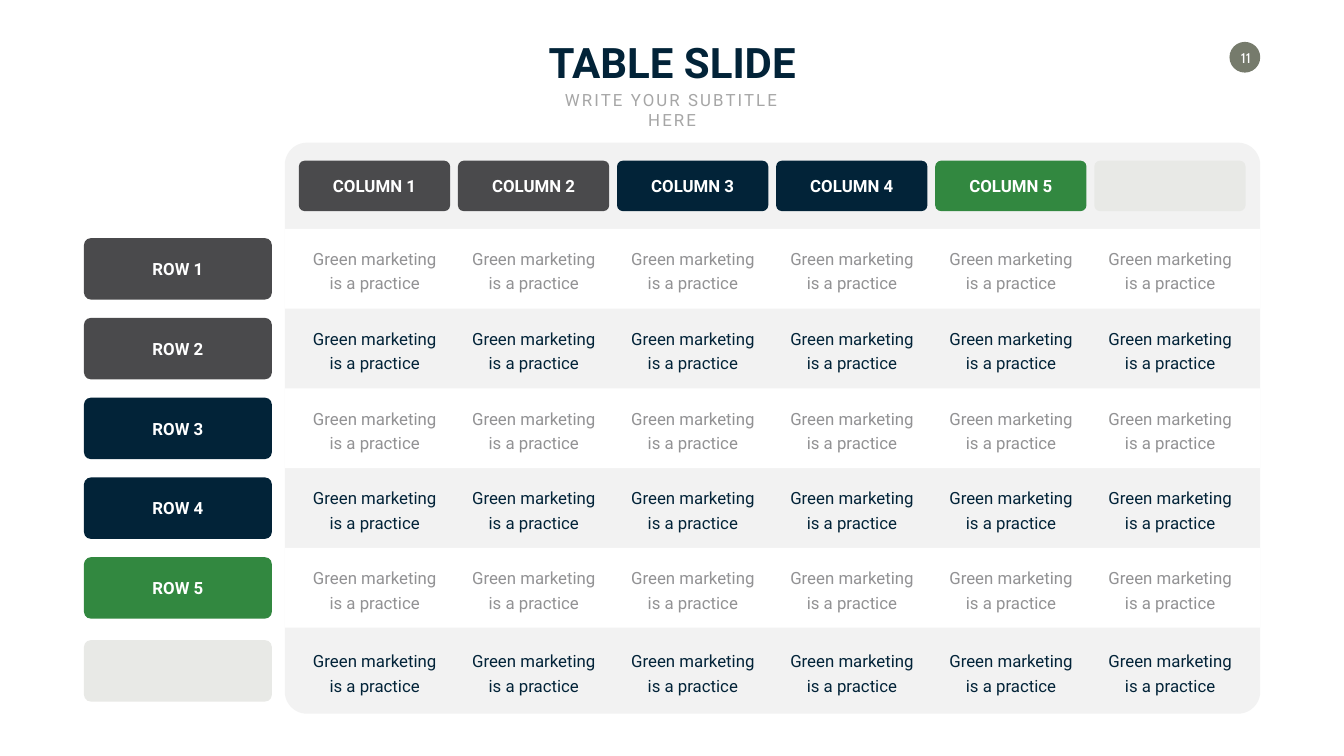
from dataclasses import dataclass

from lxml import etree
from pptx import Presentation
from pptx import util as u
from pptx.dml.color import RGBColor
from pptx.enum import shapes, text
from pptx.oxml import ns

NAVY = RGBColor(0x02, 0x23, 0x38)
GREEN = RGBColor(0x32, 0x88, 0x40)
COAL = RGBColor(0x4A, 0x4A, 0x4C)
PALE = RGBColor(0xE8, 0xE9, 0xE6)
PANEL = RGBColor(0xF2, 0xF2, 0xF2)
WHITE = RGBColor(0xFF, 0xFF, 0xFF)
GREY = RGBColor(0x92, 0x92, 0x94)
SILVER = RGBColor(0xA6, 0xA6, 0xA6)
OLIVE = RGBColor(0x76, 0x7B, 0x6C)

FILLS = (COAL, COAL, NAVY, NAVY, GREEN, PALE)
ROUND = shapes.MSO_SHAPE.ROUNDED_RECTANGLE

# Grid, in centimetres
COL_LEFT, COL_LAST = 15.06, 55.14
COL_STEP = (COL_LAST - COL_LEFT) / 5
ROW_TOP, ROW_STEP, LAST_DROP = 12.0, 4.02, 0.16
PANEL_LEFT, PANEL_WIDTH = 14.35, 49.15


@dataclass
class Box:
    left: float
    top: float
    width: float
    height: float

    def lengths(self) -> tuple:
        return tuple(u.Cm(n) for n in (self.left, self.top, self.width, self.height))


@dataclass
class Style:
    size: int
    color: RGBColor
    bold: bool = False
    face: str = "Roboto"


LABEL = Style(24, WHITE, bold=True)


def write(frame, words: str, style: Style):
    """Add one centred run and return its paragraph."""
    par = frame.paragraphs[0]
    par.alignment = text.PP_ALIGN.CENTER
    run = par.add_run()
    run.text = words
    run.font.name = style.face
    run.font.size = u.Pt(style.size)
    run.font.bold = style.bold
    run.font.color.rgb = style.color
    return par


def add_block(slide, kind, box: Box, fill: RGBColor, curve: float = 0):
    block = slide.shapes.add_shape(kind, *box.lengths())
    block.shadow.inherit = False
    block.fill.solid()
    block.fill.fore_color.rgb = fill
    block.line.fill.background()
    if curve:
        block.adjustments[0] = curve
    return block


def add_label(slide, box: Box, fill: RGBColor, words: str) -> None:
    block = add_block(slide, ROUND, box, fill, 0.114)
    # White words would vanish on the pale block, so it stays plain
    if fill != PALE:
        block.text_frame.word_wrap = False
        write(block.text_frame, words, LABEL)


def add_cell(slide, box: Box, words: str, color: RGBColor) -> None:
    frame = slide.shapes.add_textbox(*box.lengths()).text_frame
    frame.word_wrap = True
    frame.vertical_anchor = text.MSO_ANCHOR.MIDDLE
    par = write(frame, words, Style(24, color))
    par.line_spacing = u.Pt(35)


def fill_holder(holder, box: Box, words: str, style: Style, wrap: bool):
    holder.left, holder.top, holder.width, holder.height = box.lengths()
    frame = holder.text_frame
    frame.auto_size = text.MSO_AUTO_SIZE.NONE
    frame.vertical_anchor = text.MSO_ANCHOR.TOP
    frame.word_wrap = wrap
    return write(frame, words, style)


def add_heading(slide) -> None:
    fill_holder(slide.shapes.title, Box(27.33, 1.7, 13.08, 2.82),
                "TABLE SLIDE", Style(60, NAVY, bold=True), False)
    par = fill_holder(slide.placeholders[1], Box(26.97, 4.37, 13.79, 1.27),
                      "WRITE YOUR SUBTITLE HERE", Style(24, SILVER), True)
    # No bullet or indent, and wide letter spacing
    props = par._p.get_or_add_pPr()
    props.set("marL", "0")
    props.set("indent", "0")
    etree.SubElement(props, ns.qn("a:buNone"))
    par.space_before = u.Pt(0)
    par.runs[0].font._element.set("spc", "300")


def add_badge(slide) -> None:
    badge = add_block(slide, shapes.MSO_SHAPE.OVAL, Box(61.95, 2.11, 1.55, 1.55), OLIVE)
    frame = badge.text_frame
    frame.margin_right = frame.margin_bottom = 0
    frame.margin_left = frame.margin_top = u.Cm(0.1)
    frame.word_wrap = False
    write(frame, "11", Style(20, WHITE, face="Cabin"))


def add_grid(slide) -> None:
    # Panel with white bands behind every other row
    add_block(slide, ROUND, Box(PANEL_LEFT, 7.19, PANEL_WIDTH, 28.78), PANEL, 0.039)
    for i in range(0, 6, 2):
        band = Box(PANEL_LEFT, 11.53 + i * ROW_STEP, PANEL_WIDTH, 4.02)
        add_block(slide, shapes.MSO_SHAPE.RECTANGLE, band, WHITE)

    lefts = [COL_LEFT + i * COL_STEP for i in range(6)]
    tops = [ROW_TOP + i * ROW_STEP for i in range(6)]
    tops[-1] += LAST_DROP

    # Column heads
    for i, (left, fill) in enumerate(zip(lefts, FILLS), 1):
        add_label(slide, Box(left, 8.1, 7.62, 2.54), fill, f"COLUMN {i}")

    # Row heads and cells
    for i, (top, fill) in enumerate(zip(tops, FILLS), 1):
        add_label(slide, Box(4.23, top, 9.47, 3.1), fill, f"ROW {i}")
        color = GREY if i % 2 else NAVY
        for left in lefts:
            add_cell(slide, Box(left + 0.44, top + 0.24, 6.76, 2.62),
                     "Green marketing is a practice", color)


def main() -> None:
    deck = Presentation()
    deck.slide_width, deck.slide_height = u.Cm(67.72), u.Cm(38.1)
    slide = deck.slides.add_slide(deck.slide_layouts[1])
    add_badge(slide)
    add_heading(slide)
    add_grid(slide)
    deck.save("out.pptx")


if __name__ == "__main__":
    main()
